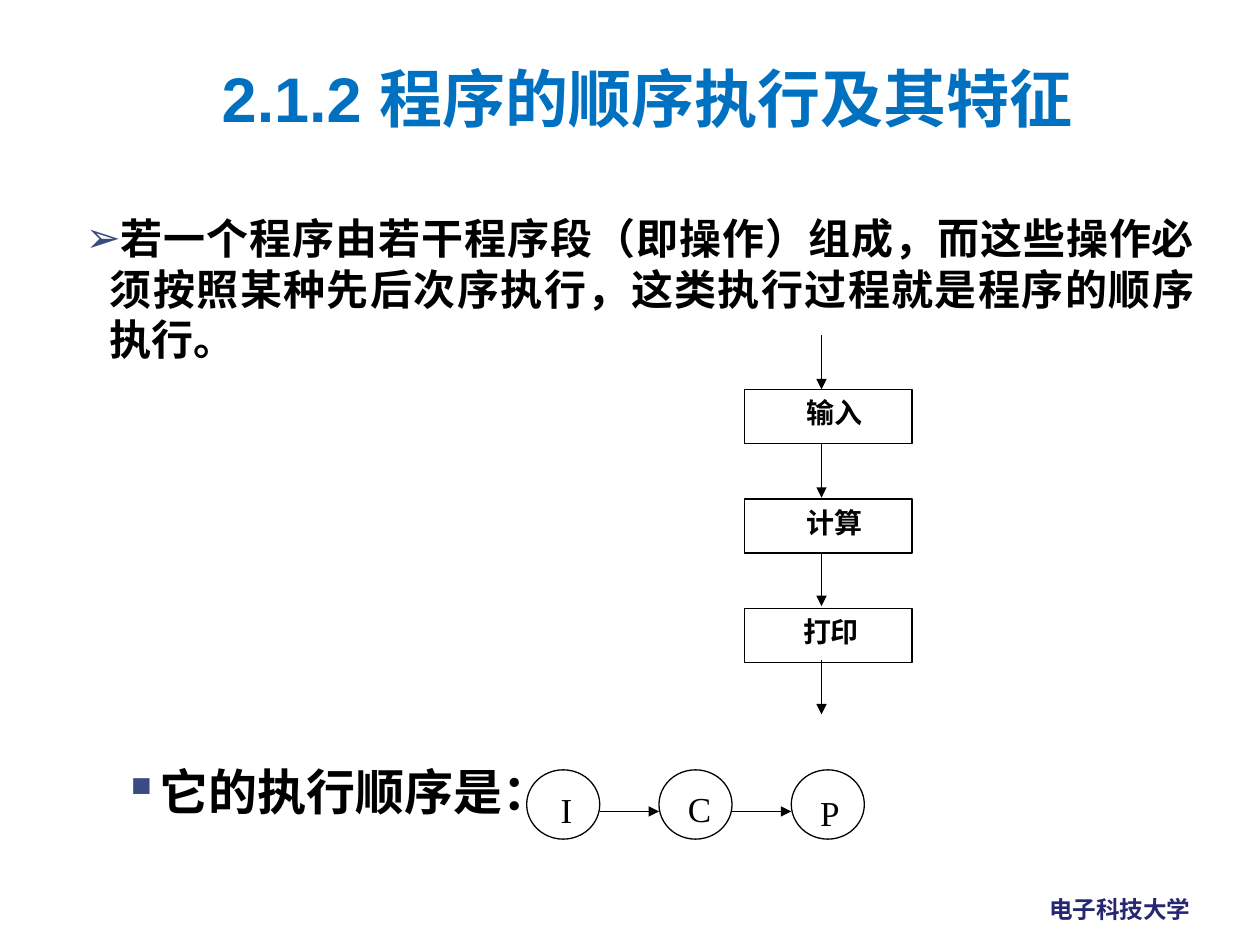
import pptx
import pptx.dml.color
import pptx.enum.shapes
import pptx.enum.text
import pptx.oxml.ns
import pptx.util
from dataclasses import dataclass
from lxml import etree

Inches = pptx.util.Inches
Pt = pptx.util.Pt
RGB = pptx.dml.color.RGBColor.from_string
Align = pptx.enum.text.PP_ALIGN
Shape = pptx.enum.shapes.MSO_SHAPE
qn = pptx.oxml.ns.qn


@dataclass(frozen=True)
class Theme:
    title_color: str = "0070C0"
    ink: str = "000000"
    paper: str = "FFFFFF"
    bullet_color: str = "384C81"
    school_color: str = "262673"
    sans: str = "Arial"
    serif: str = "Times New Roman"
    chinese: str = "Noto Sans CJK SC"
    title_size: float = 36
    body_size: float = 24
    order_size: float = 28
    step_size: float = 16
    letter_size: float = 20
    school_size: float = 13.5
    line_width: float = 0.75


THEME = Theme()


def add_bullet(paragraph, mark):
    properties = paragraph._p.get_or_add_pPr()
    properties.set("marL", str(Inches(0.19)))
    properties.set("indent", str(-Inches(0.19)))
    bullet_color = etree.SubElement(properties, qn("a:buClr"))
    etree.SubElement(bullet_color, qn("a:srgbClr"), val=THEME.bullet_color)
    etree.SubElement(properties, qn("a:buChar"), char=mark)


def write(holder, text, size, font, color=THEME.ink, bold=True,
          align=Align.LEFT, bullet=None, wrap=True, inset=(0.1, 0.05, 0.1, 0.05)):
    frame = holder.text_frame
    frame.word_wrap = wrap
    frame.auto_size = pptx.enum.text.MSO_AUTO_SIZE.NONE
    frame.vertical_anchor = pptx.enum.text.MSO_ANCHOR.TOP
    (frame.margin_left, frame.margin_top,
     frame.margin_right, frame.margin_bottom) = map(Inches, inset)
    frame.text = text
    paragraph = frame.paragraphs[0]
    paragraph.alignment = align
    paragraph.space_before = Pt(0)
    if bullet:
        add_bullet(paragraph, bullet)
    paragraph.font.size = Pt(size)
    paragraph.font.name = font
    paragraph.font.bold = bold
    paragraph.font.color.rgb = RGB(color)
    defaults = paragraph._p.pPr.find(qn("a:defRPr"))
    etree.SubElement(defaults, qn("a:ea"), typeface=THEME.chinese)
    return paragraph


def place(placeholder, left, top, width, height):
    placeholder.left, placeholder.top = Inches(left), Inches(top)
    placeholder.width, placeholder.height = Inches(width), Inches(height)
    return placeholder


def add_label(slide, left, top, width, height, *text, **style):
    label = slide.shapes.add_textbox(*map(Inches, (left, top, width, height)))
    return write(label, *text, **style)


def add_outline(slide, kind, left, top, width, height):
    outline = slide.shapes.add_shape(kind, *map(Inches, (left, top, width, height)))
    outline.shadow.inherit = False
    outline.line.color.rgb = RGB(THEME.ink)
    outline.line.width = Pt(THEME.line_width)
    return outline


def add_arrow(slide, start_x, start_y, end_x, end_y):
    arrow = slide.shapes.add_connector(
        pptx.enum.shapes.MSO_CONNECTOR.STRAIGHT,
        *map(Inches, (start_x, start_y, end_x, end_y)))
    arrow.line.color.rgb = RGB(THEME.ink)
    arrow.line.width = Pt(THEME.line_width)
    etree.SubElement(arrow.line._get_or_add_ln(), qn("a:tailEnd"), type="triangle")
    etree.SubElement(arrow._element.spPr, qn("a:effectLst"))


def add_flowchart(slide):
    height = 0.43
    for row, (step, left_inset) in enumerate(
            [("输入", 0.2), ("计算", 0.19), ("打印", 0.14)]):
        box = add_outline(slide, Shape.RECTANGLE, 5.91, 3.09 + row * 0.87, 1.33, height)
        box.fill.solid()
        box.fill.fore_color.rgb = RGB(THEME.paper)
        write(box, step, THEME.step_size, THEME.serif, align=Align.CENTER,
              inset=(left_inset, 0.05, 0.1, 0.05))
    for row in range(4):
        top = 2.66 + row * 2 * height
        add_arrow(slide, 6.52, top, 6.52, top + height)


def add_order_chain(slide):
    diameter, pitch, first_left, arrow_y = 0.58, 1.05, 4.18, 6.44
    letters = [("I", 0.27, 6.26), ("C", 0.23, 6.25), ("P", 0.23, 6.28)]
    for column, (letter, offset, top) in enumerate(letters):
        left = first_left + column * pitch
        circle = add_outline(slide, Shape.OVAL, left, 6.11, diameter, 0.55)
        circle.fill.background()
        add_label(slide, left + offset, top, 0.3, 0.33, letter, THEME.letter_size,
                  THEME.serif, bold=False, align=Align.JUSTIFY, inset=(0, 0, 0, 0))
        if column:
            add_arrow(slide, left - pitch + diameter, arrow_y, left, arrow_y)


def main():
    deck = pptx.Presentation()
    deck.slide_width, deck.slide_height = Inches(10), Inches(7.5)
    slide = deck.slides.add_slide(deck.slide_layouts[1])

    title = place(slide.shapes.title, 1.66, 0.42, 7.04, 0.71)
    write(title, "2.1.2 程序的顺序执行及其特征", THEME.title_size, THEME.sans,
          THEME.title_color)
    definition = place(slide.placeholders[1], 0.58, 1.64, 9, 4.73)
    write(definition,
          "若一个程序由若干程序段（即操作）组成，而这些操作必须按照某种先后次序执行，"
          "这类执行过程就是程序的顺序执行。",
          THEME.body_size, THEME.sans, align=Align.JUSTIFY, bullet="➢")

    add_flowchart(slide)
    order = add_label(slide, 0.88, 6.05, 3.53, 0.53, "它的执行顺序是：",
                      THEME.order_size, THEME.chinese, bullet="▪", wrap=False)
    order.line_spacing = 0.9
    add_order_chain(slide)
    add_label(slide, 8.23, 7.05, 1.34, 0.33, "电子科技大学", THEME.school_size,
              THEME.chinese, THEME.school_color, wrap=False)
    deck.save("out.pptx")


if __name__ == "__main__":
    main()
